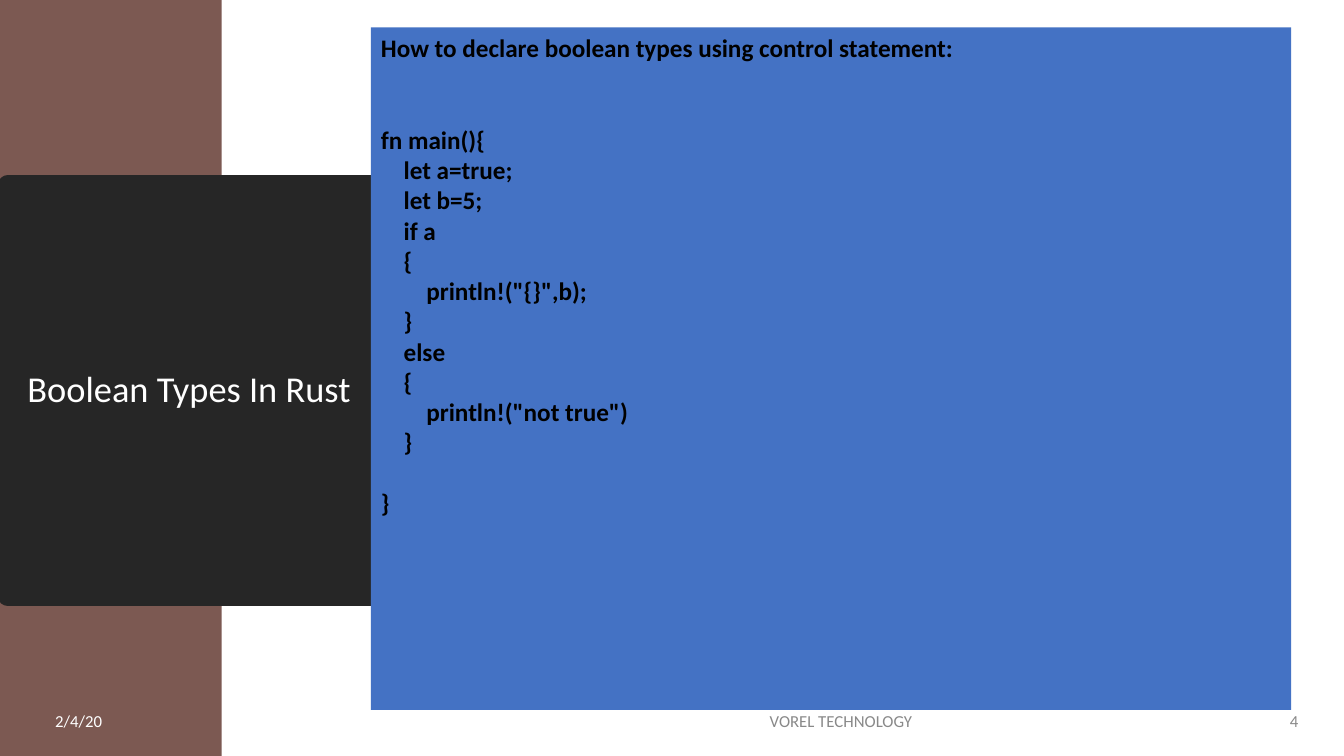
from dataclasses import dataclass

from pptx import Presentation
from pptx.dml.color import RGBColor
from pptx.enum.shapes import MSO_SHAPE
from pptx.enum.text import MSO_ANCHOR, MSO_AUTO_SIZE, PP_ALIGN
from pptx.util import Cm, Pt

RECT = MSO_SHAPE.RECTANGLE
TOP, MIDDLE = MSO_ANCHOR.TOP, MSO_ANCHOR.MIDDLE
LEFT, CENTER, RIGHT = PP_ALIGN.LEFT, PP_ALIGN.CENTER, PP_ALIGN.RIGHT
FIXED = MSO_AUTO_SIZE.NONE


@dataclass(frozen=True)
class Theme:
    font: str = "Calibri"
    brown: str = "7C5952"
    dark: str = "262626"
    blue: str = "4472C4"
    white: str = "FFFFFF"
    black: str = "000000"
    gray: str = "898989"
    head: int = 26
    code: int = 18
    foot: int = 12
    line: int = 22


@dataclass(frozen=True)
class Box:
    left: float
    top: float
    width: float
    height: float

    def place(self) -> tuple:
        return Cm(self.left), Cm(self.top), Cm(self.width), Cm(self.height)


@dataclass(frozen=True)
class Note:
    text: str
    left: float
    width: float
    align: PP_ALIGN
    color: str


THEME = Theme()
NOTES = (
    Note("2/4/20", 1.14, 4.11, LEFT, THEME.white),
    Note("VOREL TECHNOLOGY", 11.43, 19.53, CENTER, THEME.gray),
    Note("4", 31.42, 1.55, RIGHT, THEME.gray),
)
LEAD = "How to declare boolean types using control statement:"
CODE = """fn main(){
    let a=true;
    let b=5;
    if a
    {
        println!("{}",b);
    }
    else
    {
        println!("not true")
    }
}"""


def style(frame, size: int, color: str, align: PP_ALIGN, anchor: MSO_ANCHOR, bold: bool = False) -> None:
    frame.word_wrap = True
    frame.auto_size = FIXED
    frame.vertical_anchor = anchor
    for para in frame.paragraphs:
        para.alignment = align
        for run in para.runs:
            font = run.font
            font.name, font.size, font.bold = THEME.font, Pt(size), bold
            font.color.rgb = RGBColor.from_string(color)


def paint(shape, color: str) -> None:
    shape.fill.solid()
    shape.fill.fore_color.rgb = RGBColor.from_string(color)


def add_panel(slide, box: Box, color: str):
    shape = slide.shapes.add_shape(RECT, *box.place())
    shape.shadow.inherit = False
    paint(shape, color)
    shape.line.fill.background()
    return shape


def set_title(slide, box: Box, text: str) -> None:
    title = slide.shapes.title
    title.left, title.top, title.width, title.height = box.place()
    paint(title, THEME.dark)
    title.line.color.rgb = RGBColor.from_string(THEME.dark)
    title.line.width = Pt(13.75)
    title.text_frame.text = text
    title.text_frame.paragraphs[0].line_spacing = 0.9
    style(title.text_frame, THEME.head, THEME.white, CENTER, MIDDLE)


def add_note(slide, note: Note) -> None:
    box = Box(note.left, 17.65, note.width, 1.02)
    frame = slide.shapes.add_textbox(*box.place()).text_frame
    frame.text = note.text
    style(frame, THEME.foot, note.color, note.align, MIDDLE)


def add_code(slide, box: Box) -> None:
    frame = add_panel(slide, box, THEME.blue).text_frame
    frame.text = LEAD + "\n" + CODE
    style(frame, THEME.code, THEME.black, LEFT, TOP, True)
    frame.paragraphs[1].space_before = Pt(2 * THEME.line)
    frame.paragraphs[-1].space_before = Pt(THEME.line)


def main() -> None:
    deck = Presentation()
    deck.slide_width, deck.slide_height = Cm(33.87), Cm(19.05)
    slide = deck.slides.add_slide(deck.slide_layouts[5])
    band = add_panel(slide, Box(0, 0, 5.59, 19.05), THEME.brown)
    set_title(slide, Box(0.2, 4.65, 9.14, 10.39), "Boolean Types In Rust")
    slide.shapes.title.element.addprevious(band.element)
    for note in NOTES:
        add_note(slide, note)
    add_code(slide, Box(9.35, 0.69, 23.19, 17.2))
    deck.save("out.pptx")


if __name__ == "__main__":
    main()
